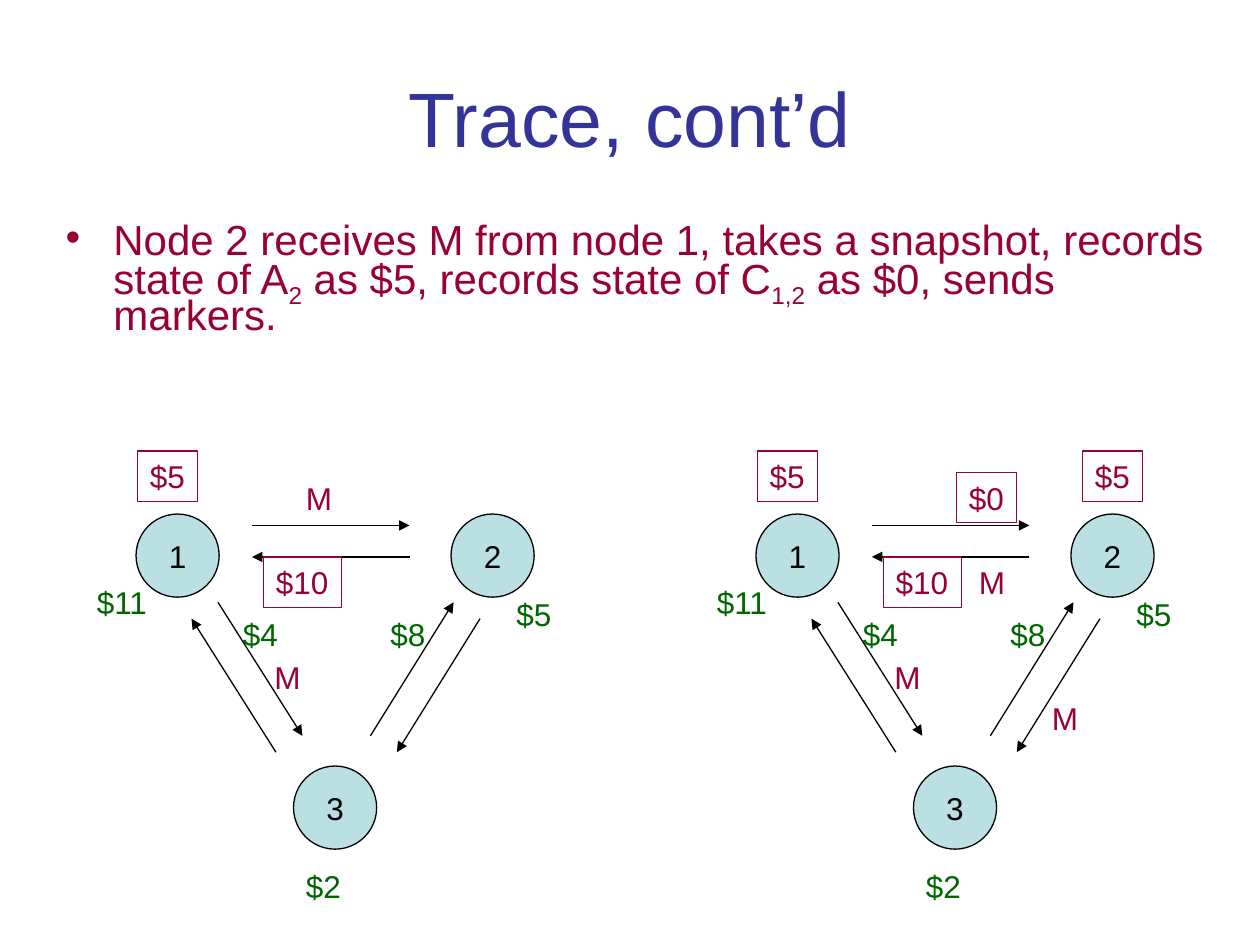
from typing import NamedTuple

from lxml.etree import SubElement
from pptx import Presentation
from pptx.dml.color import RGBColor
from pptx.enum.shapes import MSO_CONNECTOR, MSO_SHAPE
from pptx.enum.text import MSO_ANCHOR, MSO_AUTO_SIZE, PP_ALIGN
from pptx.oxml.ns import qn
from pptx.shapes.shapetree import GroupShapes
from pptx.text.text import _Paragraph
from pptx.util import Inches, Pt

RED, GREEN, BLUE, BLACK, AQUA = "990033", "006600", "333399", "000000", "BBE0E3"
NODE_SIZE = 0.66
LABEL_HEIGHT = 0.4
RIGHT_SHIFT = 4.92


class Node(NamedTuple):
    text: str
    x: float
    y: float


class Arrow(NamedTuple):
    x1: float
    y1: float
    x2: float
    y2: float


class Label(NamedTuple):
    text: str
    x: float
    y: float
    color: str = GREEN
    boxed: bool = False


NODES = [Node("1", 1.08, 4.08), Node("3", 2.33, 6.08), Node("2", 3.58, 4.08)]
ARROWS = [
    Arrow(2, 4.17, 3.25, 4.17),
    Arrow(3.25, 4.42, 2, 4.42),
    Arrow(2.94, 5.84, 3.6, 4.78),
    Arrow(3.81, 4.91, 3.15, 5.97),
    Arrow(1.73, 4.78, 2.4, 5.84),
    Arrow(2.19, 5.97, 1.52, 4.91),
]
SHARED_LABELS = [
    Label("$8", 3, 4.83),
    Label("$5", 1.09, 3.58, RED, True),
    Label("M", 2.08, 5.17, RED),
    Label("$4", 1.83, 4.83),
    Label("$11", 0.67, 4.58),
    Label("$5", 4, 4.67),
    Label("$2", 2.33, 6.83),
    Label("$10", 2.09, 4.42, RED, True),
]
BEFORE_LABELS = [Label("M", 2.33, 3.75, RED)]
AFTER_LABELS = [
    Label("$5", 3.67, 3.58, RED, True),
    Label("$0", 2.67, 3.75, RED, True),
    Label("M", 3.33, 5.5, RED),
    Label("M", 2.75, 4.42, RED),
]
BODY_RUNS = [
    ("Node 2 receives M from node 1, takes a snapshot, records state of A", False),
    ("2", True),
    (" as $5, records state of C", False),
    ("1,2", True),
    (" as $0, sends markers.", False),
]


def rgb(color: str) -> RGBColor:
    return RGBColor.from_string(color)


def set_font(p: _Paragraph, size: float, color: str) -> None:
    p.font.name = "Arial"
    p.font.size = Pt(size)
    p.font.color.rgb = rgb(color)


def place(sp, x: float, y: float, w: float, h: float) -> None:
    sp.left, sp.top, sp.width, sp.height = map(Inches, (x, y, w, h))


def draw_node(shapes: GroupShapes, node: Node, dx: float) -> None:
    sp = shapes.add_shape(MSO_SHAPE.OVAL, Inches(node.x + dx), Inches(node.y),
                          Inches(NODE_SIZE), Inches(NODE_SIZE))
    sp.shadow.inherit = False
    sp.fill.solid()
    sp.fill.fore_color.rgb = rgb(AQUA)
    sp.line.color.rgb = rgb(BLACK)
    sp.line.width = Pt(0.75)
    tf = sp.text_frame
    tf.word_wrap = False
    tf.vertical_anchor = MSO_ANCHOR.MIDDLE
    p = tf.paragraphs[0]
    p.text = node.text
    p.alignment = PP_ALIGN.CENTER
    set_font(p, 18, BLACK)


def draw_arrow(shapes: GroupShapes, arrow: Arrow, dx: float) -> None:
    cxn = shapes.add_connector(MSO_CONNECTOR.STRAIGHT,
                               Inches(arrow.x1 + dx), Inches(arrow.y1),
                               Inches(arrow.x2 + dx), Inches(arrow.y2))
    cxn.line.color.rgb = rgb(BLACK)
    cxn.line.width = Pt(0.75)
    SubElement(cxn.line._get_or_add_ln(), qn("a:tailEnd"), type="triangle")
    SubElement(cxn._element.spPr, qn("a:effectLst"))


def draw_label(shapes: GroupShapes, label: Label, dx: float) -> None:
    width = {"M": 0.41, "$10": 0.62, "$11": 0.62}.get(label.text, 0.48)
    box = (Inches(label.x + dx), Inches(label.y), Inches(width), Inches(LABEL_HEIGHT))
    if label.boxed:
        sp = shapes.add_shape(MSO_SHAPE.RECTANGLE, *box)
        sp.shadow.inherit = False
        sp.fill.background()
        sp.line.color.rgb = rgb(label.color)
        sp.line.width = Pt(0.75)
    else:
        sp = shapes.add_textbox(*box)
    tf = sp.text_frame
    tf.word_wrap = False
    tf.auto_size = MSO_AUTO_SIZE.SHAPE_TO_FIT_TEXT
    tf.vertical_anchor = MSO_ANCHOR.TOP
    p = tf.paragraphs[0]
    p.text = label.text
    p.alignment = PP_ALIGN.LEFT
    set_font(p, 18, label.color)


def draw_network(shapes: GroupShapes, extra: list[Label], dx: float) -> None:
    for node in NODES:
        draw_node(shapes, node, dx)
    for arrow in ARROWS:
        draw_arrow(shapes, arrow, dx)
    for label in SHARED_LABELS + extra:
        draw_label(shapes, label, dx)


def main() -> None:
    """Build the snapshot trace slide with the network before and after."""
    prs = Presentation()
    prs.slide_width, prs.slide_height = Inches(10), Inches(7.5)
    s = prs.slides.add_slide(prs.slide_layouts[1])

    title = s.shapes.title
    place(title, 0.5, 0.3, 9, 1.25)
    title.text_frame.vertical_anchor = MSO_ANCHOR.MIDDLE
    p = title.text_frame.paragraphs[0]
    p.text = "Trace, cont’d"
    p.alignment = PP_ALIGN.CENTER
    set_font(p, 44, BLUE)

    body = s.placeholders[1]
    place(body, 0.42, 1.75, 9.33, 1.08)
    body.text_frame.auto_size = MSO_AUTO_SIZE.NONE
    p = body.text_frame.paragraphs[0]
    p.line_spacing = 0.7
    p.space_before = Pt(15)
    set_font(p, 24, RED)
    pPr = p._p.get_or_add_pPr()
    pPr.set("marL", str(Inches(0.38)))
    pPr.set("indent", str(Inches(-0.38)))
    for text, subscript in BODY_RUNS:
        r = p.add_run()
        r.text = text
        if subscript:
            r._r.get_or_add_rPr().set("baseline", "-25000")

    for extra, dx in ((BEFORE_LABELS, 0), (AFTER_LABELS, RIGHT_SHIFT)):
        draw_network(s.shapes.add_group_shape().shapes, extra, dx)

    prs.save("out.pptx")


if __name__ == "__main__":
    main()
